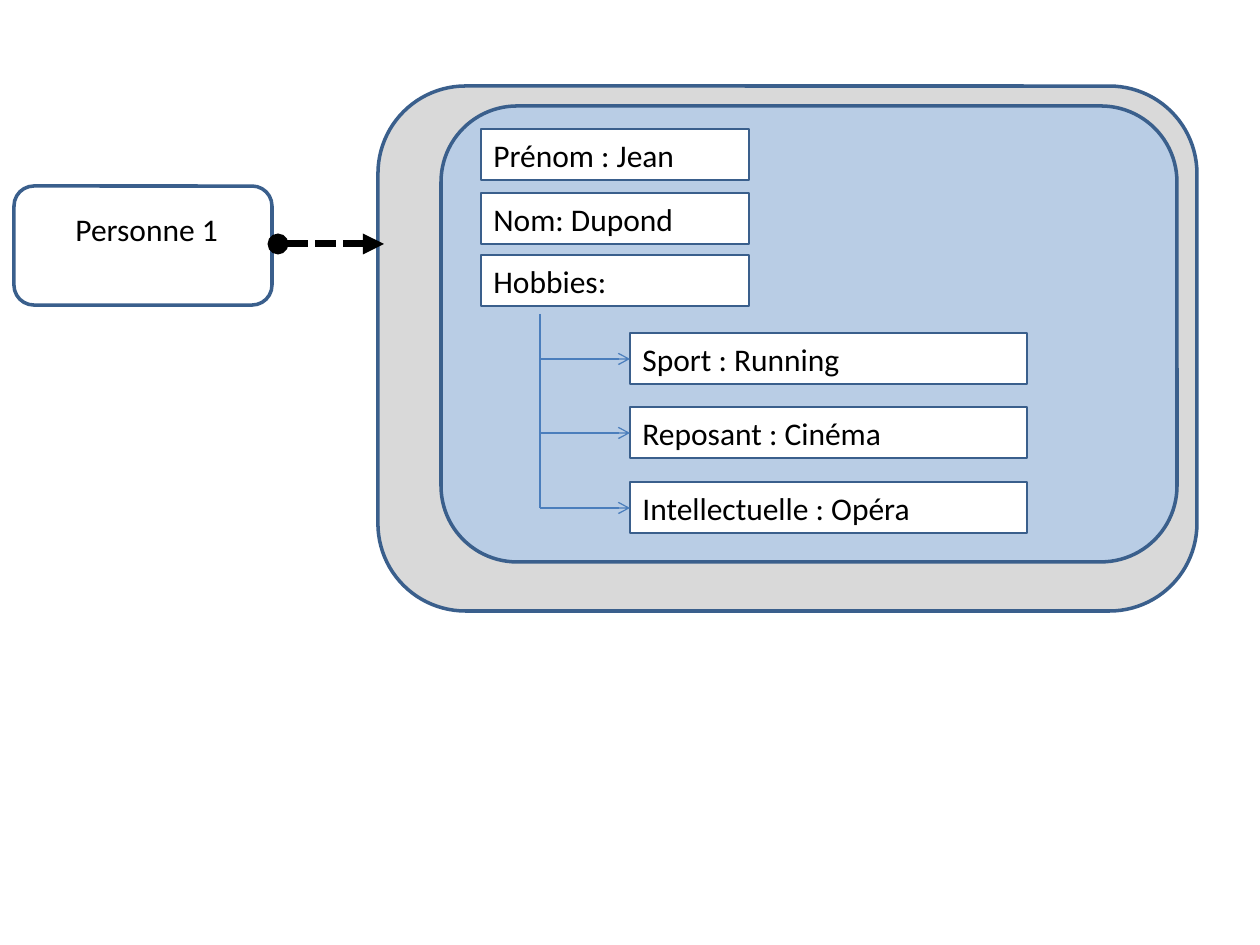
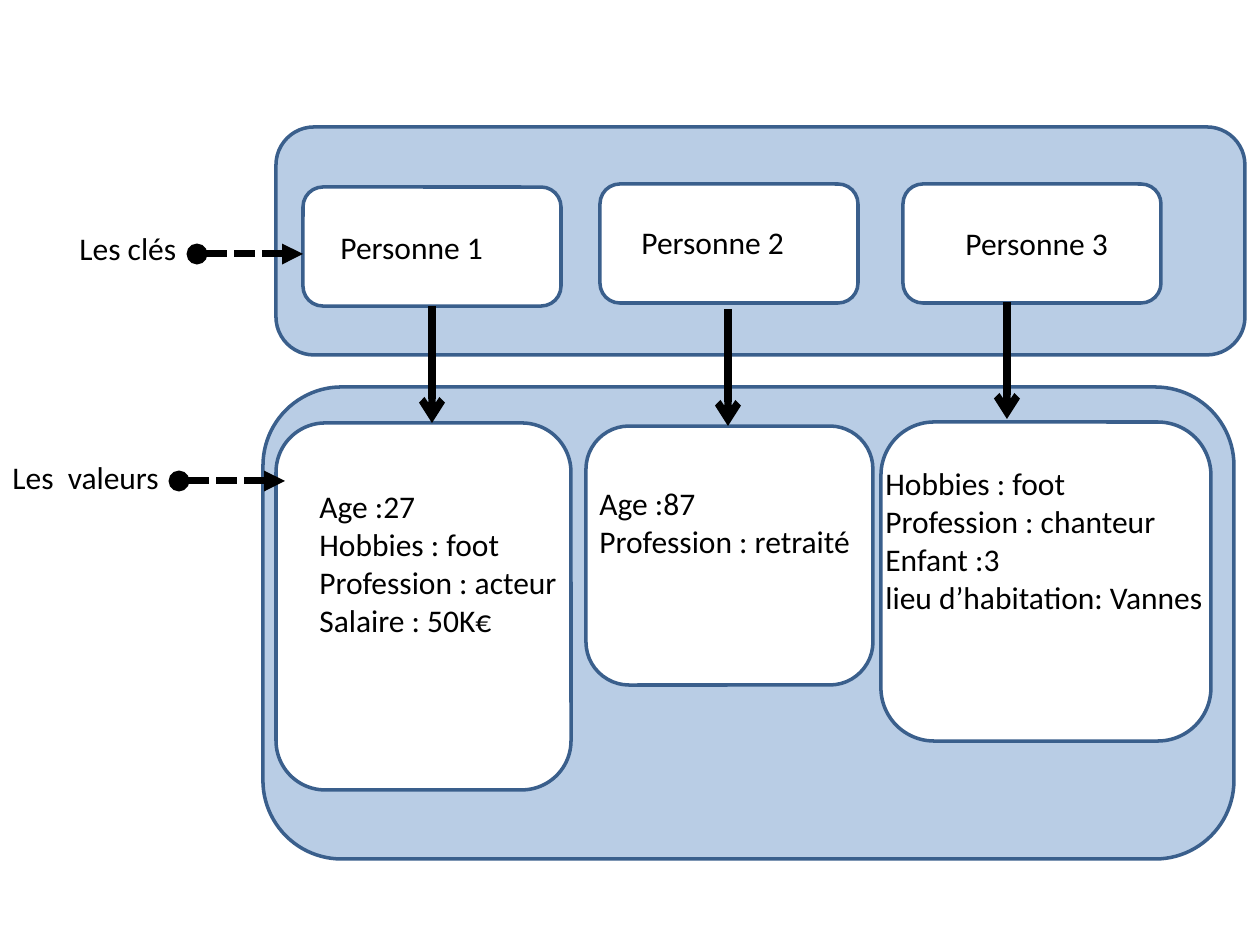
from pptx import Presentation
from pptx import util as u
from pptx.dml.color import RGBColor
from pptx.enum import dml, shapes, text
from pptx.oxml import ns
from lxml import etree

PX = u.Inches(1) / 126
FONT = "Calibri"
BLACK, WHITE, GREY = "000000", "FFFFFF", "D9D9D9"
PALE_BLUE, OUTLINE, BRANCH = "B9CDE5", "3A5F8C", "4B7EBC"
KEY_W, KEY_H = 258, 119
FIELD_H = 51


def px(*lengths):
    return [round(n * PX) for n in lengths]


def color(hex_string):
    return RGBColor.from_string(hex_string)


def write(sp, content):
    tf = sp.text_frame
    tf.word_wrap = True
    tf.auto_size = text.MSO_AUTO_SIZE.SHAPE_TO_FIT_TEXT
    tf.text = content
    for p in tf.paragraphs:
        p.alignment = text.PP_ALIGN.LEFT
        for r in p.runs:
            r.font.name = FONT
            r.font.size = u.Pt(18)
            r.font.color.rgb = color(BLACK)


def box(s, x, y, w, h, fill=WHITE, width=2, kind=shapes.MSO_SHAPE.ROUNDED_RECTANGLE):
    sp = s.shapes.add_shape(kind, *px(x, y, w, h))
    sp.shadow.inherit = False
    sp.fill.solid()
    sp.fill.fore_color.rgb = color(fill)
    sp.line.color.rgb = color(OUTLINE)
    sp.line.width = u.Pt(width)
    return sp


def key_box(s, x, y):
    box(s, x, y, KEY_W, KEY_H)


def field(s, x, y, w, content):
    sp = box(s, x, y, w, FIELD_H, width=0.75, kind=shapes.MSO_SHAPE.RECTANGLE)
    write(sp, content)


def label(s, x, y, content, w=208, h=FIELD_H):
    write(s.shapes.add_textbox(*px(x, y, w, h)), content)


def line(s, x1, y1, x2, y2, hex_string=BRANCH, width=0.75, dash=None, head=None, tail=None):
    c = s.shapes.add_connector(shapes.MSO_CONNECTOR.STRAIGHT, *px(x1, y1, x2, y2))
    c.line.color.rgb = color(hex_string)
    c.line.width = u.Pt(width)
    if dash:
        c.line.dash_style = dash
    props = c._element.spPr
    ln = props.find(ns.qn("a:ln"))
    for tag, end in (("a:headEnd", head), ("a:tailEnd", tail)):
        if end:
            etree.SubElement(ln, ns.qn(tag), type=end)
    etree.SubElement(props, ns.qn("a:effectLst"))


def pointer(s, x, y):
    line(s, x, y, x + 106, y, BLACK, 4, dml.MSO_LINE.SQUARE_DOT, "oval", "triangle")


def down_arrow(s, x, y):
    line(s, x, y, x, y + 117, BLACK, 4.25, tail="arrow")


def nested_value_slide(s):
    box(s, 378, 86, 819, 525, GREY)
    key_box(s, 14, 186)
    box(s, 441, 106, 736, 456, PALE_BLUE)
    label(s, 63, 204, "Personne 1")
    pointer(s, 278, 244)
    for y, content in ((129, "Prénom : Jean"), (193, "Nom: Dupond"), (255, "Hobbies:")):
        field(s, 481, y, 268, content)
    hobbies = ((333, "Sport : Running"), (407, "Reposant : Cinéma"),
               (482, "Intellectuelle : Opéra"))
    trunk_x, hobby_x = 540, 630
    for y, content in hobbies:
        field(s, hobby_x, y, 397, content)
        line(s, trunk_x, y + 26, hobby_x, y + 26, tail="arrow")
    line(s, trunk_x, 314, trunk_x, hobbies[-1][0] + 26)


def keys_and_values_slide(s):
    box(s, 263, 387, 971, 472, PALE_BLUE)
    box(s, 276, 127, 969, 228, PALE_BLUE)
    people = (
        ((303, 187), (328, 222), (276, 423, 295, 367), (307, 481, 278, 204), (432, 306),
         "Age :27\nHobbies : foot\nProfession : acteur\nSalaire : 50K€"),
        ((600, 184), (629, 217), (586, 426, 287, 259), (587, 478, 294, 89), (728, 309),
         "Age :87\nProfession : retraité"),
        ((903, 184), (953, 218), (881, 422, 330, 319), (873, 458, 417, 165), (1007, 302),
         "Hobbies : foot\nProfession : chanteur\nEnfant :3\nlieu d’habitation: Vannes"),
    )
    for n, (key, name, value, details, arrow, content) in enumerate(people, 1):
        key_box(s, *key)
        box(s, *value)
        label(s, *name, f"Personne {n}")
        label(s, *details[:2], content, *details[2:])
        down_arrow(s, *arrow)
    label(s, 67, 223, "Les clés")
    label(s, 0, 452, "Les  valeurs")
    pointer(s, 197, 254)
    pointer(s, 179, 481)


def main():
    prs = Presentation()
    prs.slide_width, prs.slide_height = px(1260, 945)
    for build in (nested_value_slide, keys_and_values_slide):
        build(prs.slides.add_slide(prs.slide_layouts[6]))
    prs.save("out.pptx")


if __name__ == "__main__":
    main()
